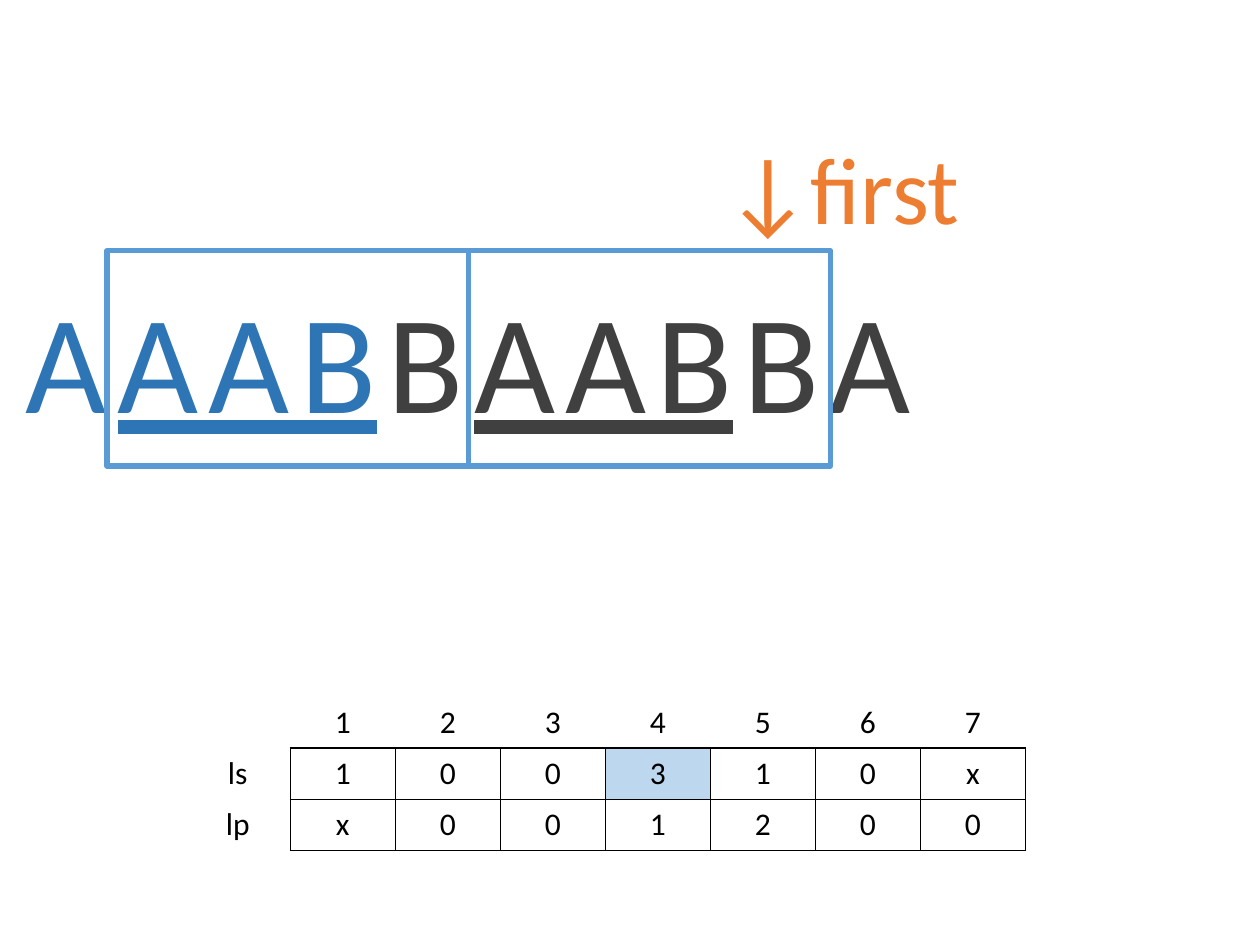
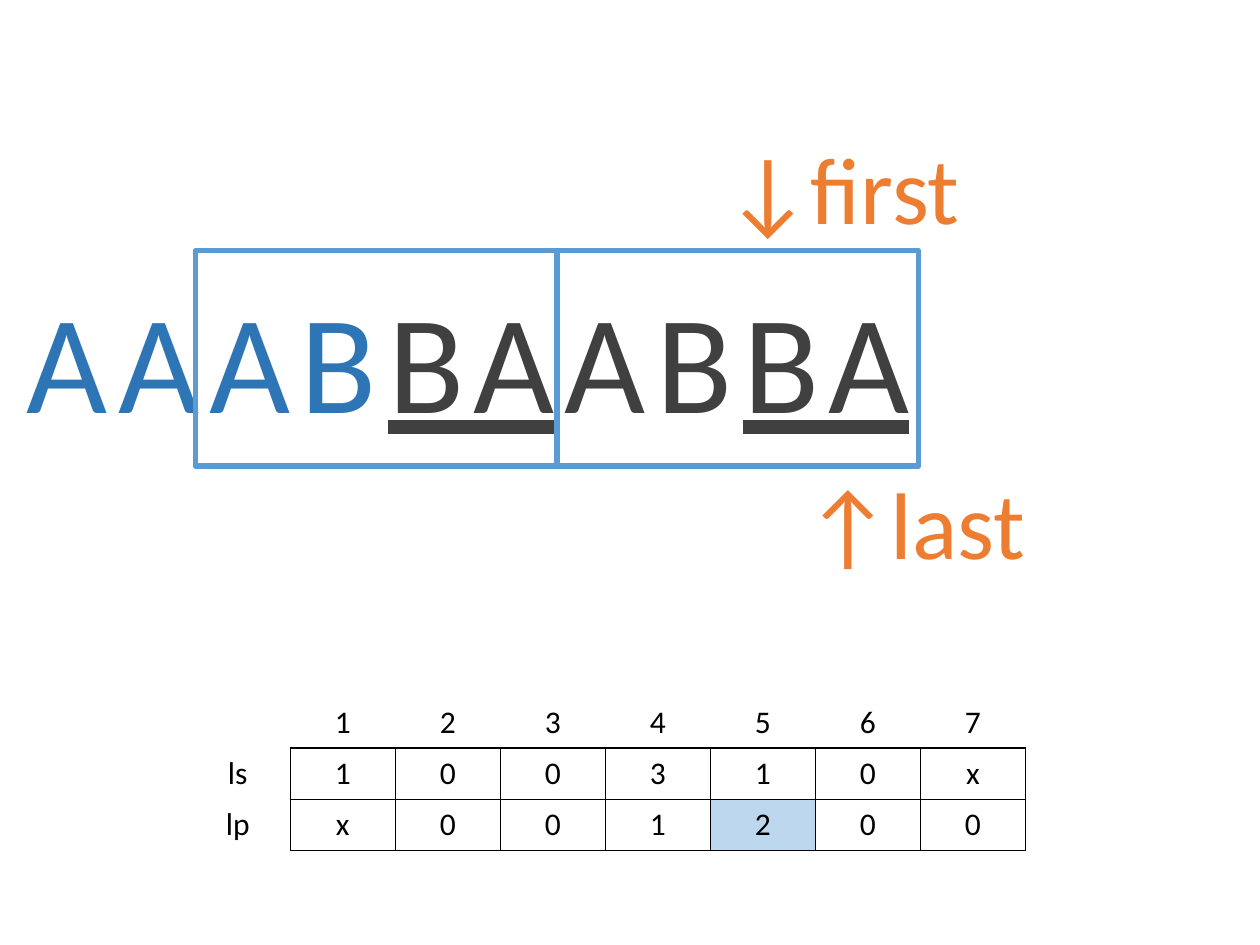
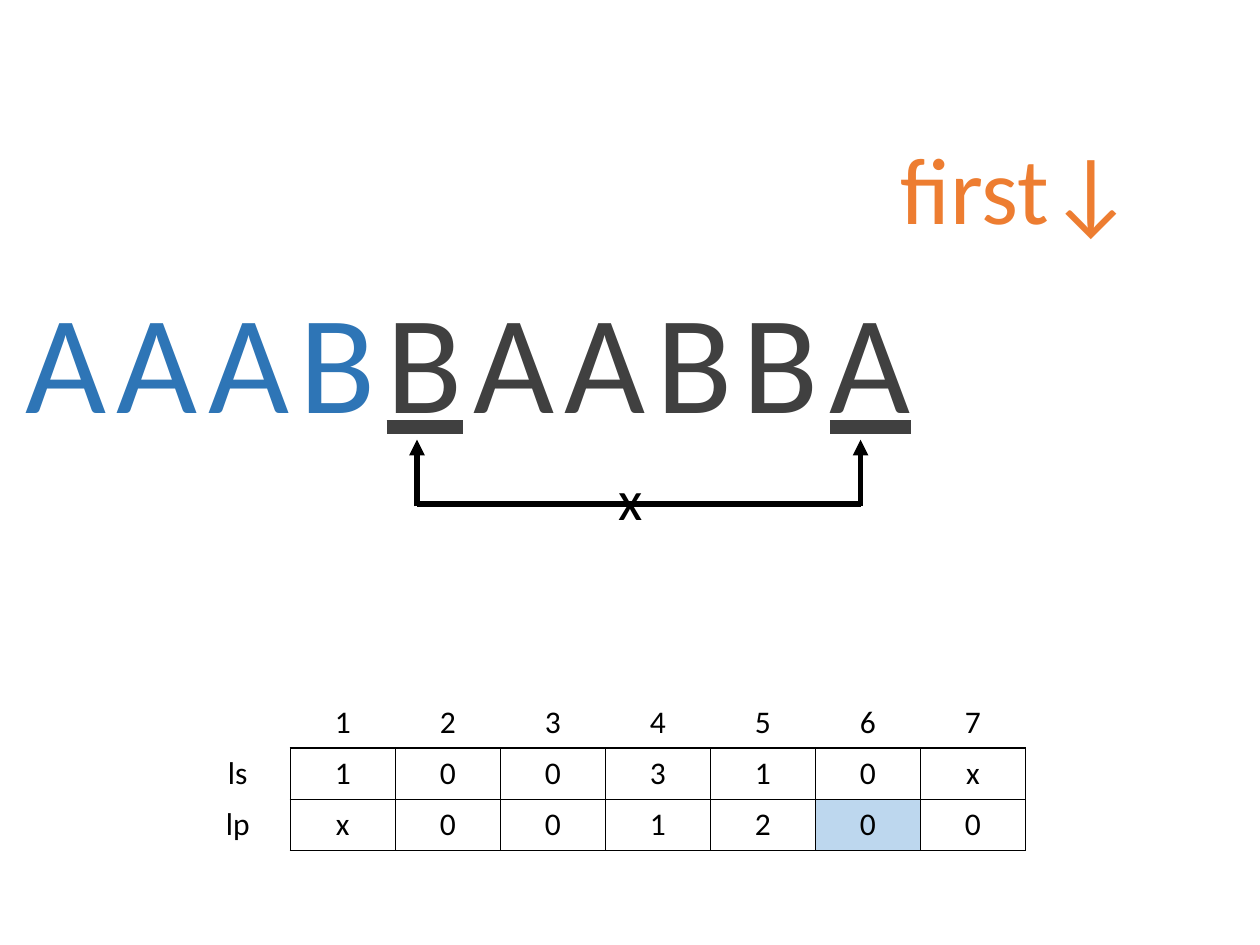
from pptx import Presentation
from pptx.dml.color import RGBColor as RGB
from pptx.enum.shapes import MSO_CONNECTOR as LINK, MSO_SHAPE as FORM
from pptx.enum.text import MSO_ANCHOR as ANCHOR, MSO_AUTO_SIZE as FIT, PP_ALIGN as ALIGN
from pptx.oxml.ns import qn
from pptx.util import Inches, Pt
from lxml.etree import SubElement as Sub

WIDE, HIGH = Inches(10), Inches(7.5)
FONT = "Calibri"
INK = {
    "black": "000000",
    "dark": "404040",
    "blue": "2E75B6",
    "frame": "5B9BD5",
    "orange": "ED7D31",
    "mark": "BDD7EE",
}
ROWS = [
    ["", "1", "2", "3", "4", "5", "6", "7"],
    ["ls", "1", "0", "0", "3", "1", "0", "x"],
    ["lp", "x", "0", "0", "1", "2", "0", "0"],
]


def across(share):
    return round(WIDE * share / 100)


def down(share):
    return round(HIGH * share / 100)


def area(left, top, wide, high):
    return across(left), down(top), across(wide), down(high)


def hue(name):
    return RGB.from_string(INK[name])


def write(para, text, size=18, color="black", under=None, gap=0):
    para.alignment = ALIGN.CENTER
    run = para.add_run()
    run.text = text
    font = run.font
    font.name, font.size, font.underline = FONT, Pt(size), under
    font.color.rgb = hue(color)
    if gap:
        run._r.get_or_add_rPr().set("spc", str(gap * 100))


def label(slide, place, runs, **style):
    frame = slide.shapes.add_textbox(*area(*place)).text_frame
    frame.word_wrap = False
    frame.auto_size = FIT.SHAPE_TO_FIT_TEXT
    for text, extra in runs:
        write(frame.paragraphs[0], text, **style, **extra)


def word(slide, *runs):
    parts = [(text, {"color": color, "under": under}) for text, color, under in runs]
    label(slide, (0.4, 28.27, 73.5, 19.33), parts, size=80, gap=6)


def note(slide, text, left, top=13.07, wide=20.9):
    label(slide, (left, top, wide, 13.47), [(text, {})], size=54, color="orange")


def pair(slide, left):
    group = slide.shapes.add_group_shape()
    wide = 28.7
    for col in range(2):
        box = group.shapes.add_shape(
            FORM.RECTANGLE, *area(left + col * wide, 26.53, wide, 22.8))
        box.shadow.inherit = False
        box.fill.background()
        box.line.color.rgb = hue("frame")
        box.line.width = Pt(3)


def line(group, start, end, arrow=False):
    link = group.shapes.add_connector(
        LINK.STRAIGHT, across(start[0]), down(start[1]), across(end[0]), down(end[1]))
    link.line.color.rgb = hue("black")
    link.line.width = Pt(3)
    if arrow:
        Sub(link.line._get_or_add_ln(), qn("a:tailEnd"), type="triangle")
    Sub(link._element.spPr, qn("a:effectLst"))


def fork(slide, left, right):
    group = slide.shapes.add_group_shape()
    line(group, (left, 53.33), (right, 53.33))
    for col in (left, right):
        line(group, (col, 53.6), (col, 46.53), arrow=True)


def edge(cell, side, shown):
    rule = Sub(cell._tc.get_or_add_tcPr(), qn("a:ln" + side), w=str(Pt(1)))
    if shown:
        Sub(Sub(rule, qn("a:solidFill")), qn("a:srgbClr"), val=INK["black"])
    else:
        Sub(rule, qn("a:noFill"))


def grid(slide, mark):
    table = slide.shapes.add_table(
        len(ROWS), len(ROWS[0]), *area(14.7, 73.73, 66.7, 16.27)).table
    table.first_row = table.horz_banding = False
    for row, texts in enumerate(ROWS):
        for col, text in enumerate(texts):
            cell = table.cell(row, col)
            cell.vertical_anchor = ANCHOR.MIDDLE
            if text:
                write(cell.text_frame.paragraphs[0], text)
            inner = row > 0 and col > 0
            for side, shown in zip("LRTB", (inner, row > 0, inner, col > 0)):
                edge(cell, side, shown)
            if (row, col) == mark:
                cell.fill.solid()
                cell.fill.fore_color.rgb = hue("mark")
            else:
                cell.fill.background()


def main():
    deck = Presentation()
    deck.slide_width, deck.slide_height = WIDE, HIGH
    blank = deck.slide_layouts[6]

    slide = deck.slides.add_slide(blank)
    word(slide, ("A", "blue", False), ("AAB", "blue", True), ("B", "dark", False),
         ("AAB", "dark", True), ("BA", "dark", False))
    grid(slide, (1, 4))
    pair(slide, 8.5)
    note(slide, "↓first", 56.4)

    slide = deck.slides.add_slide(blank)
    word(slide, ("AAAB", "blue", False), ("BA", "dark", True),
         ("AB", "dark", False), ("BA", "dark", True))
    grid(slide, (2, 5))
    note(slide, "↓first", 56.4)
    note(slide, "↑last", 62.8, top=48.53, wide=19.7)
    pair(slide, 15.5)

    slide = deck.slides.add_slide(blank)
    word(slide, ("AAAB", "blue", False), ("B", "dark", True),
         ("AABB", "dark", False), ("A", "dark", True))
    grid(slide, (2, 6))
    label(slide, (48.1, 48.53, 3.9, 8.53), [("x", {})], size=32)
    note(slide, "first↓", 70.3)
    fork(slide, 33.1, 68.3)

    deck.save("out.pptx")


if __name__ == "__main__":
    main()
